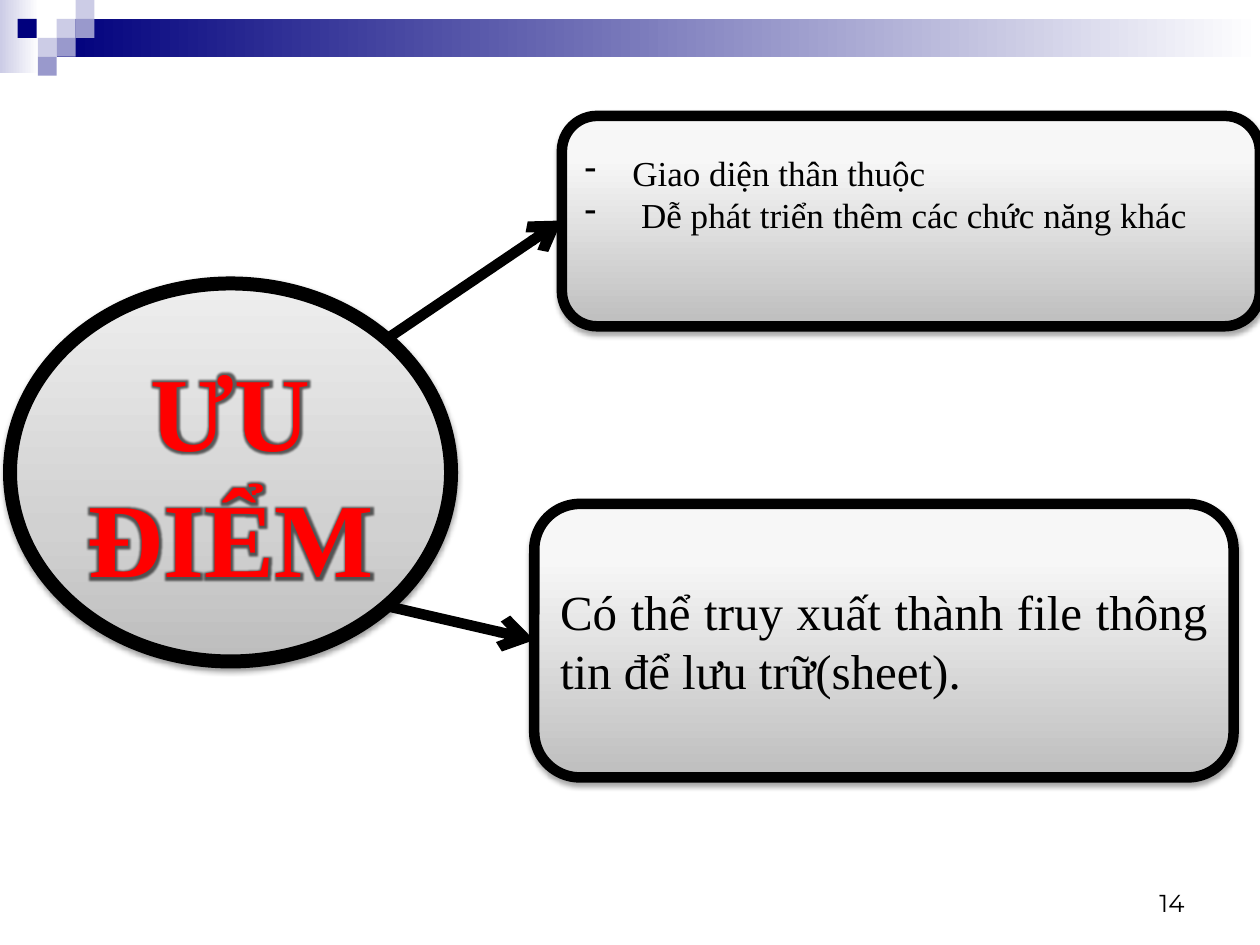
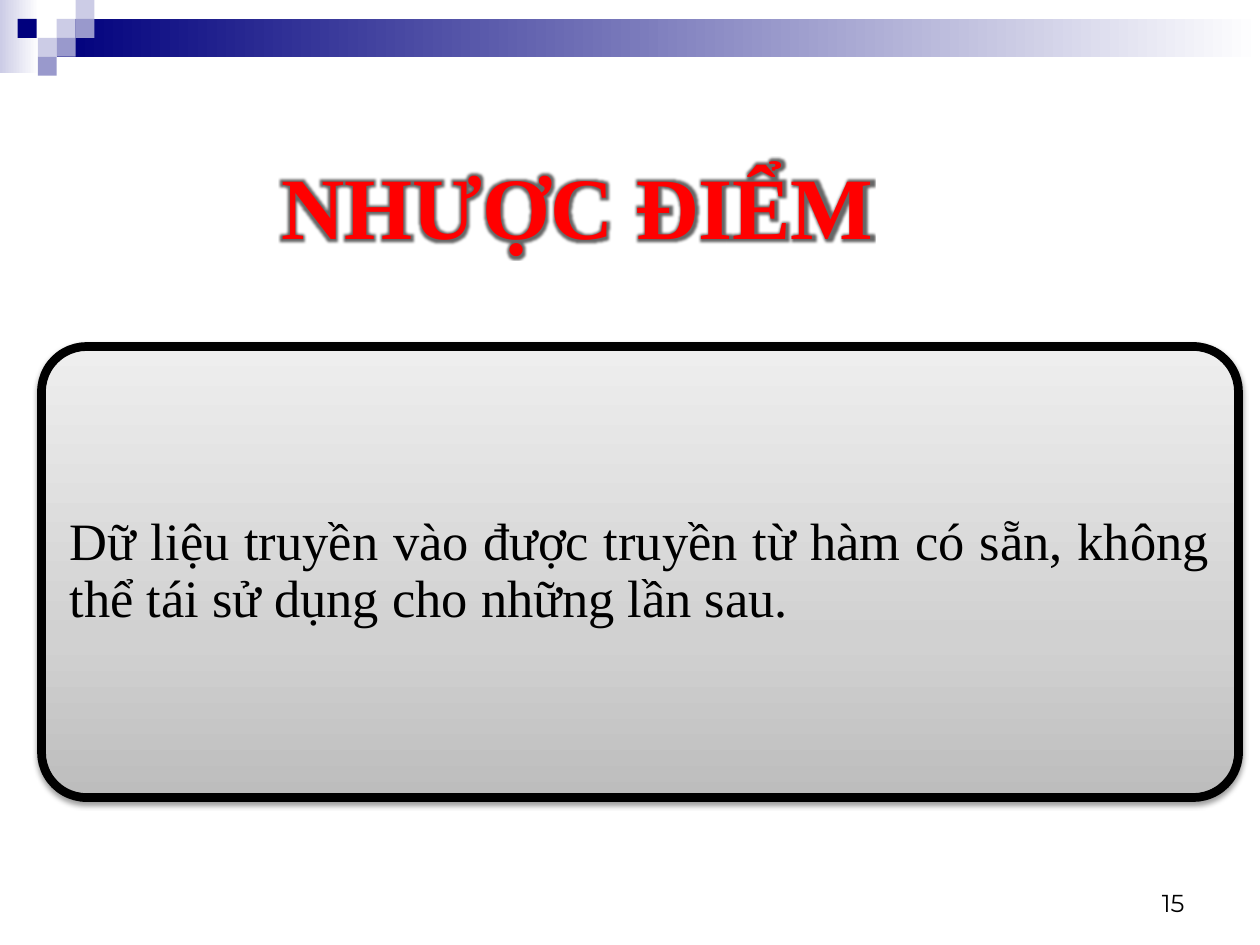
import pptx
import pptx.util
import pptx.dml.color
import pptx.enum.shapes
import pptx.enum.text
import pptx.oxml
import pptx.oxml.ns

Inches = pptx.util.Inches
Pt = pptx.util.Pt
KIND = pptx.enum.shapes.MSO_SHAPE
ALIGN = pptx.enum.text.PP_ALIGN
ANCHOR = pptx.enum.text.MSO_ANCHOR
qn = pptx.oxml.ns.qn

HUES = {"navy": "00007D", "lilac": "9999CC", "pale": "CCCCE6",
        "white": "FFFFFF", "black": "000000", "red": "FF0000"}
SERIF, SANS = "Times New Roman", "Montserrat"
GREY = [(0, "BDBDBD"), (35, "D1D1D1"), (100, "EEEEEE")]
LIGHT = [(0, "BEBEBE"), (80, "F7F7F7"), (100, "F8F8F8")]
DARK = dict(stops=GREY, alpha=38, drop=1.6)
SOFT = dict(stops=LIGHT, alpha=35, drop=1.8)


def rgb(name):
    return pptx.dml.color.RGBColor.from_string(HUES[name])


def node(xml):
    """Parse a fragment whose root is in the drawing namespace."""
    head, tail = xml.split(">", 1)
    end = "/" if head.endswith("/") else ""
    space = pptx.oxml.ns.nsdecls("a")
    return pptx.oxml.parse_xml(f"{head.rstrip('/')} {space}{end}>{tail}")


def tint(hue, alpha):
    return f'<a:srgbClr val="{hue}"><a:alpha val="{alpha * 1000}"/></a:srgbClr>'


def write(frame, text, size=20, font=SERIF, hue="black", align=ALIGN.JUSTIFY,
          anchor=ANCHOR.MIDDLE, glow=False, dash=False, space=None, inset=None):
    """Fill a text frame, one paragraph for each line of text."""
    frame.word_wrap = True
    frame.auto_size = pptx.enum.text.MSO_AUTO_SIZE.NONE
    frame.vertical_anchor = anchor
    for side, gap in (inset or {}).items():
        setattr(frame, "margin_" + side, Inches(gap))
    frame.text = text
    for para in frame.paragraphs:
        para.alignment = align
        para.line_spacing = space
        run = para.runs[0]
        run.font.size, run.font.name = Pt(size), font
        run.font.bold = glow
        run.font.color.rgb = rgb(hue)
        if glow:
            edge(run)
        if dash:
            props = para._p.get_or_add_pPr()
            props.set("marL", str(Inches(0.38)))
            props.set("indent", str(Inches(-0.38)))
            props.append(node("<a:buFontTx/>"))
            props.append(node('<a:buChar char="-"/>'))


def edge(run):
    """Give a run a thin black outline and a soft dark glow."""
    props = run.font._element
    black = HUES["black"]
    props.insert(0, node(f'<a:ln w="{Pt(0.71)}"><a:solidFill>'
                         f'<a:srgbClr val="{black}"/></a:solidFill></a:ln>'))
    fill = props.find(qn("a:solidFill"))
    fill.addnext(node(f'<a:effectLst><a:glow rad="{Pt(5)}">'
                      f'{tint(black, 60)}</a:glow></a:effectLst>'))


class Deck:
    def __init__(self):
        self.prs = pptx.Presentation()
        self.prs.slide_width, self.prs.slide_height = Inches(10), Inches(7.5)
        self.slide = None

    def start(self, layout, number):
        self.slide = self.prs.slides.add_slide(self.prs.slide_layouts[layout])
        box = self.slide.shapes.add_textbox(
            Inches(7.17), Inches(6.83), Inches(2.33), Inches(0.5))
        write(box.text_frame, number, size=14, font=SANS,
              align=ALIGN.RIGHT, anchor=ANCHOR.BOTTOM)

    def shape(self, kind, place, hue=None, stops=None, angle=0):
        item = self.slide.shapes.add_shape(kind, *map(Inches, place))
        item.shadow.inherit = False
        item.line.fill.background()
        if hue:
            item.fill.solid()
            item.fill.fore_color.rgb = rgb(hue)
        else:
            item.fill.gradient()
            grad = item.element.spPr.find(qn("a:gradFill"))
            grad.clear()
            marks = "".join(f'<a:gs pos="{pos * 1000}"><a:srgbClr val="{val}"/></a:gs>'
                            for pos, val in stops)
            grad.append(node(f"<a:gsLst>{marks}</a:gsLst>"))
            grad.append(node(f'<a:lin ang="{angle * 60000}" scaled="0"/>'))
        return item

    def panel(self, kind, place, text, width, stops, alpha, drop, **form):
        """Add a shaded shape with a heavy outline, a shadow and text."""
        item = self.shape(kind, place, stops=stops, angle=270)
        item.line.color.rgb = rgb("black")
        item.line.width = Pt(width)
        item.element.spPr.find(qn("a:effectLst")).append(node(
            f'<a:outerShdw blurRad="{Pt(3.1)}" dist="{Pt(drop)}" dir="5400000" '
            f'rotWithShape="0">{tint(HUES["black"], alpha)}</a:outerShdw>'))
        write(item.text_frame, text, **form)
        return item

    def arrow(self, start, end):
        line = self.slide.shapes.add_connector(
            pptx.enum.shapes.MSO_CONNECTOR.STRAIGHT, *map(Inches, start + end))
        line.line.color.rgb = rgb("black")
        line.line.width = Pt(6)
        line.line._get_or_add_ln().append(node('<a:tailEnd type="arrow"/>'))
        line.element.spPr.append(node("<a:effectLst/>"))

    def title(self, text, place, **form):
        item = self.slide.shapes.title
        item.left, item.top, item.width, item.height = map(Inches, place)
        write(item.text_frame, text, **form)

    def band(self):
        """Draw the top band and its squares, then move them to the master."""
        fades = [((0, 0, 0.31, 0.58), "pale"), ((0.45, 0.15, 9.55, 0.3), "navy")]
        parts = [self.shape(KIND.RECTANGLE, place,
                            stops=[(0, HUES[hue]), (100, HUES["white"])])
                 for place, hue in fades]
        tiles = [(0.45, 0.15, "pale"), (0.6, 0, "pale"), (0.6, 0.15, "lilac"),
                 (0.3, 0.3, "pale"), (0.14, 0.15, "navy"),
                 (0.45, 0.3, "lilac"), (0.3, 0.45, "lilac")]
        parts += [self.shape(KIND.RECTANGLE, (left, top, 0.15, 0.15), hue)
                  for left, top, hue in tiles]
        tree = self.prs.slide_master.element.cSld.spTree
        for num, part in enumerate(parts, 101):
            part.element.nvSpPr.cNvPr.id = num
            tree.append(part.element)


def pros(deck):
    deck.start(6, "14")
    deck.band()
    deck.panel(KIND.OVAL, (0.08, 2.25, 3.5, 3), "ƯU ĐIỂM", 8, **DARK,
               size=60, hue="red", align=ALIGN.CENTER, glow=True)
    deck.panel(KIND.ROUNDED_RECTANGLE, (4.46, 0.92, 5.54, 1.67),
               "Giao diện thân thuộc\n Dễ phát triển thêm các chức năng khác",
               6, **SOFT, dash=True, inset={"bottom": 0.49})
    deck.panel(KIND.ROUNDED_RECTANGLE, (4.24, 4, 5.55, 2.17),
               "Có thể truy xuất thành file thông tin để lưu trữ(sheet).",
               6, **SOFT, size=28)
    deck.arrow((3.07, 2.69), (4.46, 1.75))
    deck.arrow((3.07, 4.81), (4.24, 5.08))


def cons(deck):
    deck.start(5, "15")
    sides = ("left", "top", "right", "bottom")
    card = deck.panel(KIND.ROUNDED_RECTANGLE, (0.33, 2.75, 9.5, 3.58),
                      "Dữ liệu truyền vào được truyền từ hàm có sẵn, "
                      "không thể tái sử dụng cho những lần sau.", 5, **DARK,
                      size=30, space=0.9, inset=dict.fromkeys(sides, 0.12))
    card.adjustments[0] = 0.1
    deck.title("NHƯỢC ĐIỂM", (0.17, 1.12, 8.83, 1), size=50, hue="red",
               align=ALIGN.CENTER, glow=True)


def main():
    deck = Deck()
    pros(deck)
    cons(deck)
    deck.prs.save("out.pptx")


if __name__ == "__main__":
    main()
